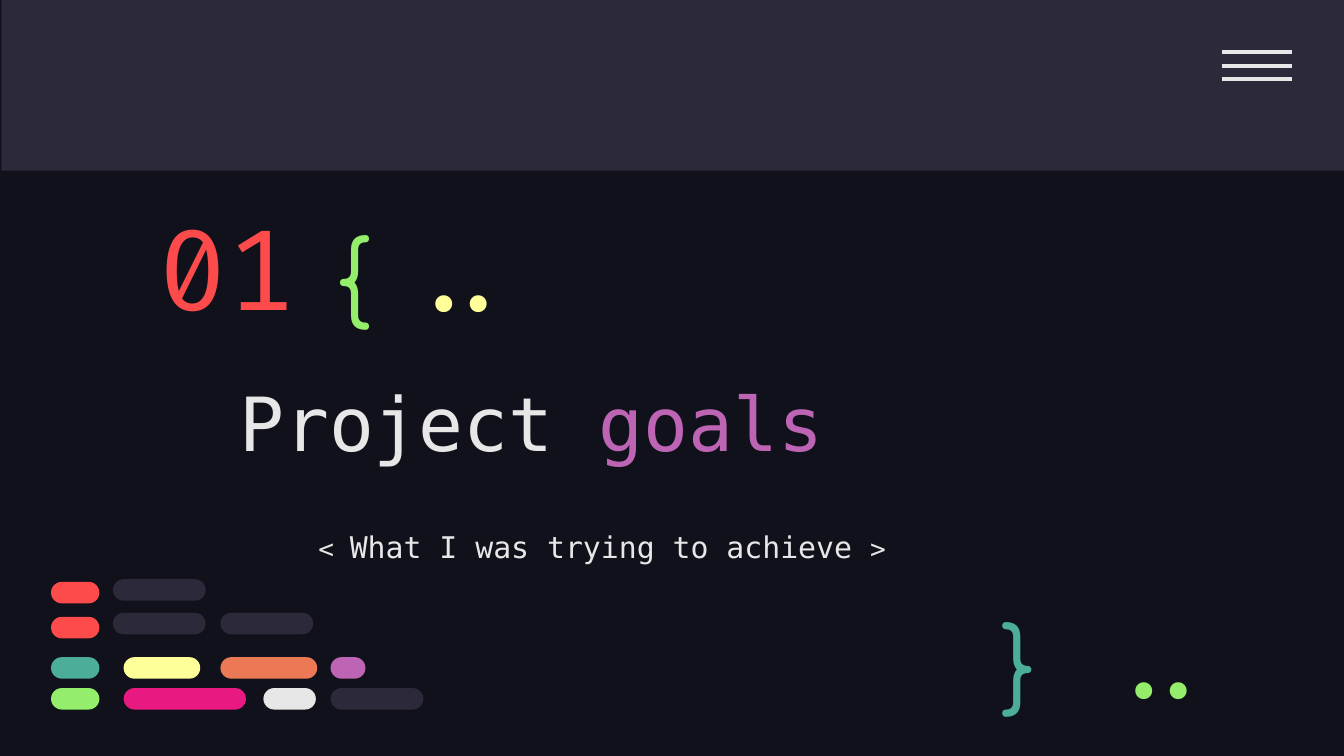
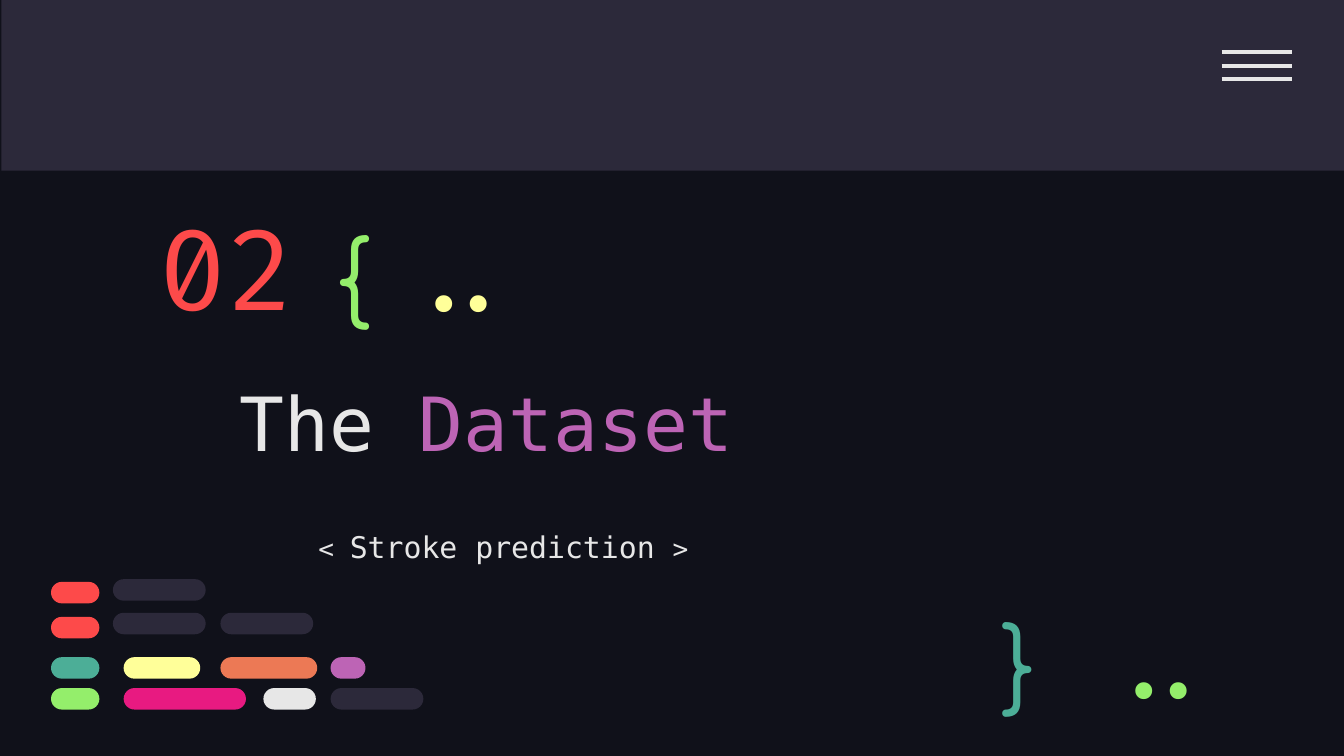
from dataclasses import dataclass
from typing import NamedTuple

from lxml import etree
from pptx import Presentation
from pptx import util as u
from pptx.dml.color import RGBColor
from pptx.enum import shapes, text
from pptx.oxml import ns


@dataclass(frozen=True)
class Theme:
    # Colours
    back: str = "10111A"
    band: str = "2C293A"
    white: str = "E7E7E7"
    red: str = "FD4A4A"
    teal: str = "4CAE97"
    green: str = "94EE6B"
    yellow: str = "FFFF99"
    orange: str = "EC7955"
    purple: str = "BD64B5"
    pink: str = "E81A81"
    # Fonts
    mono: str = "DejaVu Sans Mono"
    code: str = "Fira Code"
    round: str = "Comfortaa"
    # Type sizes
    number: int = 60
    mark: int = 50
    title: int = 40
    sub: int = 16
    angle: int = 14


T = Theme()
WIDTH = 10
HEIGHT = WIDTH * 9 / 16


class Box(NamedTuple):
    left: float
    top: float
    width: float
    height: float


class Run(NamedTuple):
    words: str
    size: int
    color: str


class Mark(NamedTuple):
    words: str
    box: Box
    color: str
    font: str
    look: dict


class Pill(NamedTuple):
    left: float
    width: float
    color: str


class Row(NamedTuple):
    top: float
    pills: tuple[Pill, ...]


class Section(NamedTuple):
    number: str
    lead: str
    accent: str
    sub: str


# Braces and dots around the heading
DOTS = {"anchor": text.MSO_ANCHOR.MIDDLE, "align": text.PP_ALIGN.RIGHT}
MARKS = (
    Mark("{", Box(2.4, 1.5, 0.77, 0.95), T.green, T.round, {}),
    Mark("}", Box(7.35, 4.38, 0.57, 0.83), T.teal, T.round, {}),
    Mark("..", Box(8.1, 4.62, 1.07, 0.6), T.green, T.code, DOTS),
    Mark("..", Box(2.89, 1.74, 1.07, 0.6), T.yellow, T.code, DOTS),
)

# Pills that look like lines of code
PILL_H = 0.16
ROWS = (
    Row(4.31, (Pill(0.84, 0.69, T.band),)),
    Row(4.33, (Pill(0.38, 0.36, T.red),)),
    Row(4.56, (Pill(0.84, 0.69, T.band), Pill(1.64, 0.69, T.band))),
    Row(4.59, (Pill(0.38, 0.36, T.red),)),
    Row(4.89, (Pill(0.38, 0.36, T.teal), Pill(0.92, 0.57, T.yellow),
               Pill(1.64, 0.72, T.orange), Pill(2.46, 0.26, T.purple))),
    Row(5.12, (Pill(0.38, 0.36, T.green), Pill(0.92, 0.91, T.pink),
               Pill(1.96, 0.39, T.white), Pill(2.46, 0.69, T.band))),
)

SECTIONS = (
    Section("01", "Project ", "goals", "What I was trying to achieve "),
    Section("02", "The ", "Dataset", "Stroke prediction "),
)


def rgb(color: str) -> RGBColor:
    return RGBColor.from_string(color)


def inches(box: Box) -> list[u.Length]:
    return [u.Inches(side) for side in box]


def write(slide, box: Box, *runs: Run, font: str = T.mono, holder=None,
          anchor=text.MSO_ANCHOR.TOP, align=text.PP_ALIGN.LEFT,
          spacing: float = 1.0) -> None:
    """Put the runs in one paragraph of a new box or a placeholder."""
    area = holder or slide.shapes.add_textbox(*inches(box))
    area.left, area.top, area.width, area.height = inches(box)
    frame = area.text_frame
    frame.word_wrap = True
    frame.auto_size = text.MSO_AUTO_SIZE.NONE
    frame.vertical_anchor = anchor
    frame.margin_left = frame.margin_right = u.Inches(0.1)
    frame.margin_top = frame.margin_bottom = u.Inches(0.1)
    para = frame.paragraphs[0]
    para.alignment, para.line_spacing = align, spacing
    for item in runs:
        run = para.add_run()
        run.text = item.words
        run.font.name, run.font.size = font, u.Pt(item.size)
        run.font.color.rgb = rgb(item.color)


def block(slide, kind: shapes.MSO_SHAPE, box: Box, color: str):
    """Add a flat filled shape without an outline."""
    shape = slide.shapes.add_shape(kind, *inches(box))
    shape.shadow.inherit = False
    shape.fill.solid()
    shape.fill.fore_color.rgb = rgb(color)
    shape.line.fill.background()
    return shape


def header(slide) -> None:
    """Draw the top band and its menu icon."""
    block(slide, shapes.MSO_SHAPE.RECTANGLE, Box(0.01, 0, 9.99, 1.27), T.band)
    for step in range(3):
        y = u.Inches(0.39 + 0.1 * step)
        line = slide.shapes.add_connector(
            shapes.MSO_CONNECTOR.STRAIGHT, u.Inches(9.09), y, u.Inches(9.61), y)
        line.line.color.rgb = rgb(T.white)
        line.line.width = u.Pt(2.25)
        etree.SubElement(line._element.spPr, ns.qn("a:effectLst"))


def heading(slide, part: Section) -> None:
    """Write the title, section number and subtitle."""
    middle = text.MSO_ANCHOR.MIDDLE
    write(slide, Box(1.68, 2.48, 7.26, 1.31),
          Run(part.lead, T.title, T.white), Run(part.accent, T.title, T.purple),
          holder=slide.shapes.title, anchor=middle)
    write(slide, Box(1.08, 1.48, 1.81, 1), Run(part.number, T.number, T.red),
          font=T.code, anchor=middle)
    write(slide, Box(2.27, 3.79, 6.61, 0.31),
          Run("< ", T.angle, T.white), Run(part.sub, T.sub, T.white),
          Run(">", T.angle, T.white), spacing=1.15)


def decor(slide) -> None:
    """Add the code marks and the coloured pills."""
    for mark in MARKS:
        write(slide, mark.box, Run(mark.words, T.mark, mark.color),
              font=mark.font, **mark.look)
    for row in ROWS:
        for pill in row.pills:
            shape = block(slide, shapes.MSO_SHAPE.ROUNDED_RECTANGLE,
                          Box(pill.left, row.top, pill.width, PILL_H), pill.color)
            shape.adjustments[0] = 0.5


def main() -> None:
    deck = Presentation()
    deck.slide_width, deck.slide_height = u.Inches(WIDTH), u.Inches(HEIGHT)
    fill = deck.slide_master.background.fill
    fill.solid()
    fill.fore_color.rgb = rgb(T.back)
    layout = deck.slide_layouts.get_by_name("Title Only")
    for part in SECTIONS:
        slide = deck.slides.add_slide(layout)
        header(slide)
        heading(slide, part)
        decor(slide)
    deck.save("out.pptx")


if __name__ == "__main__":
    main()
